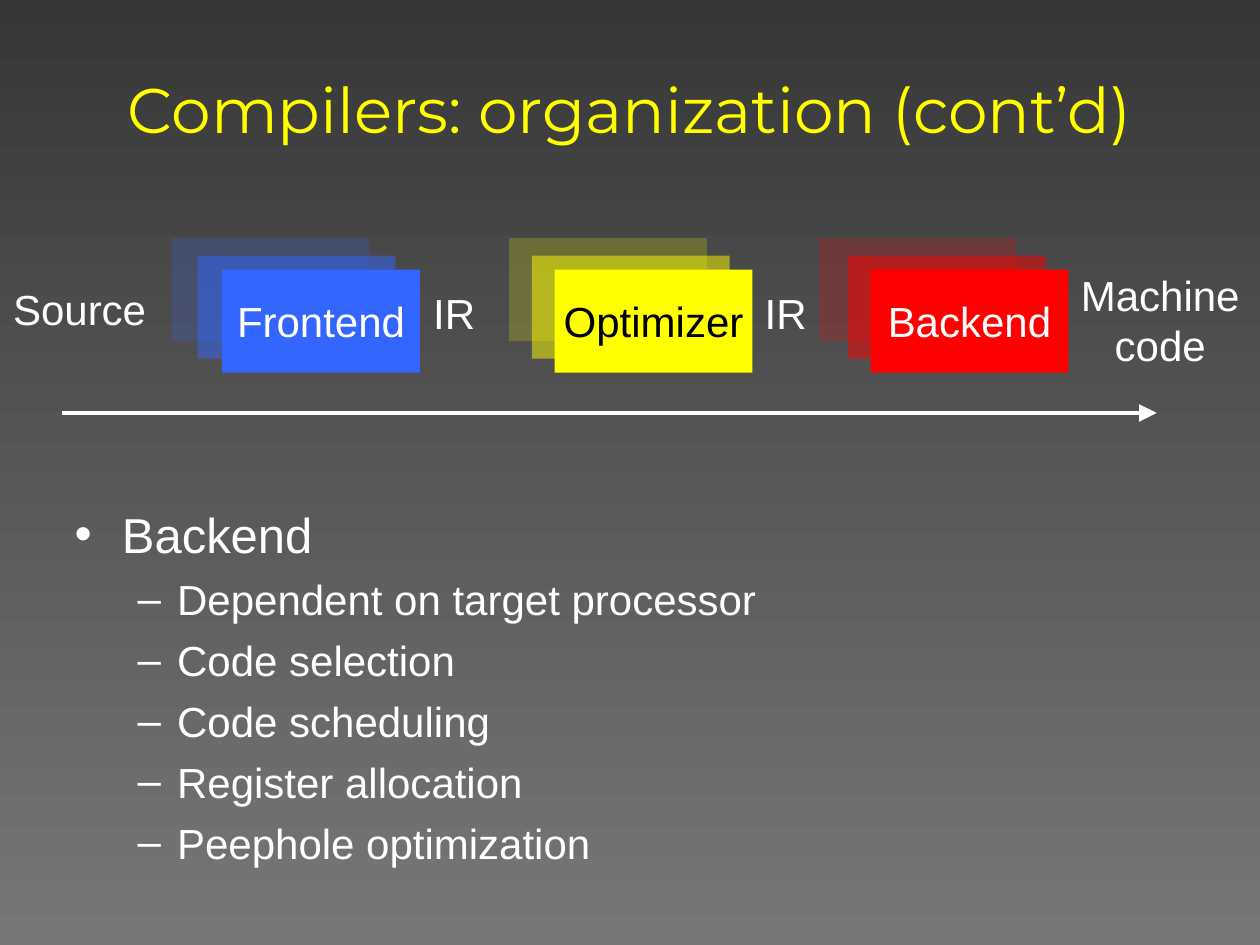
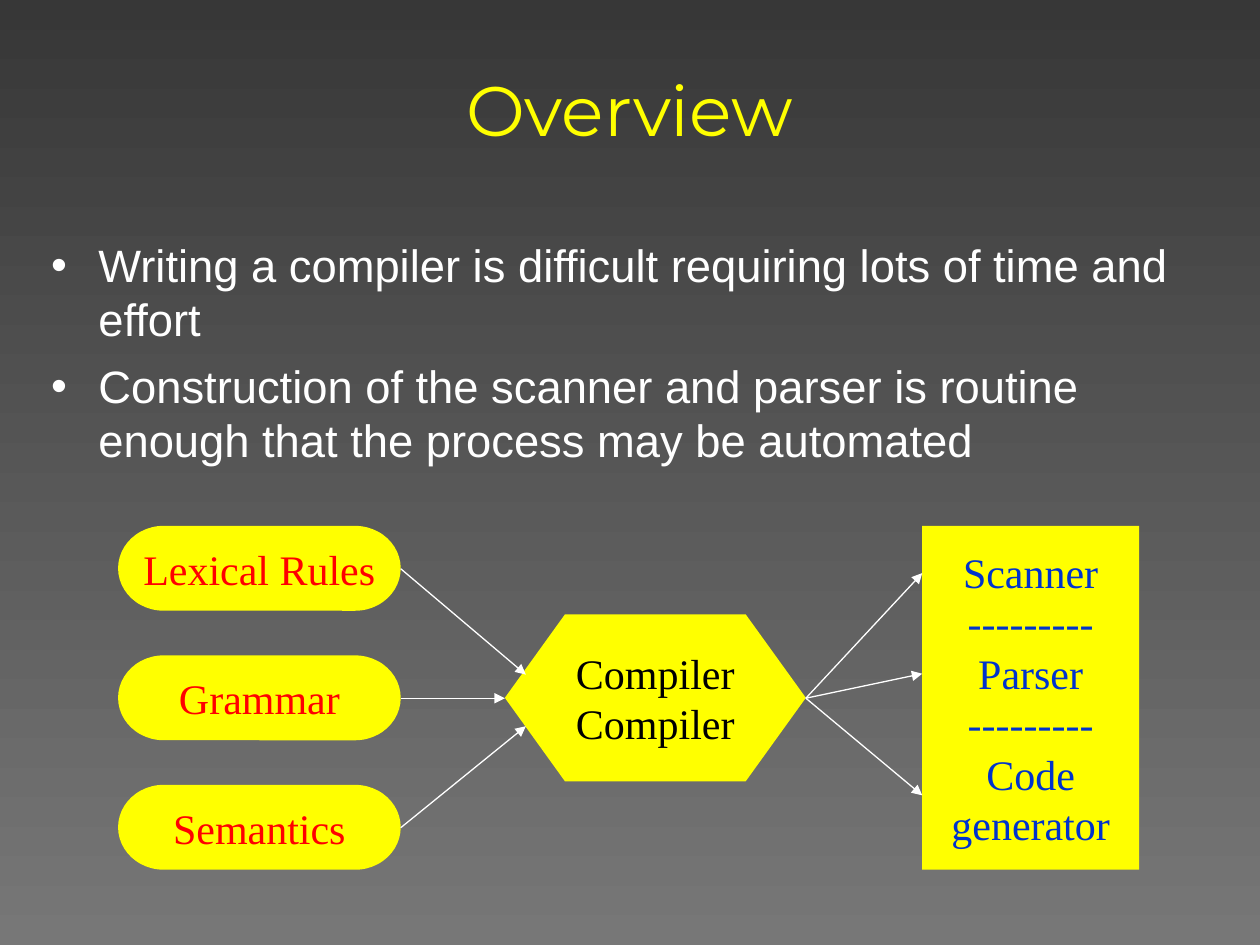
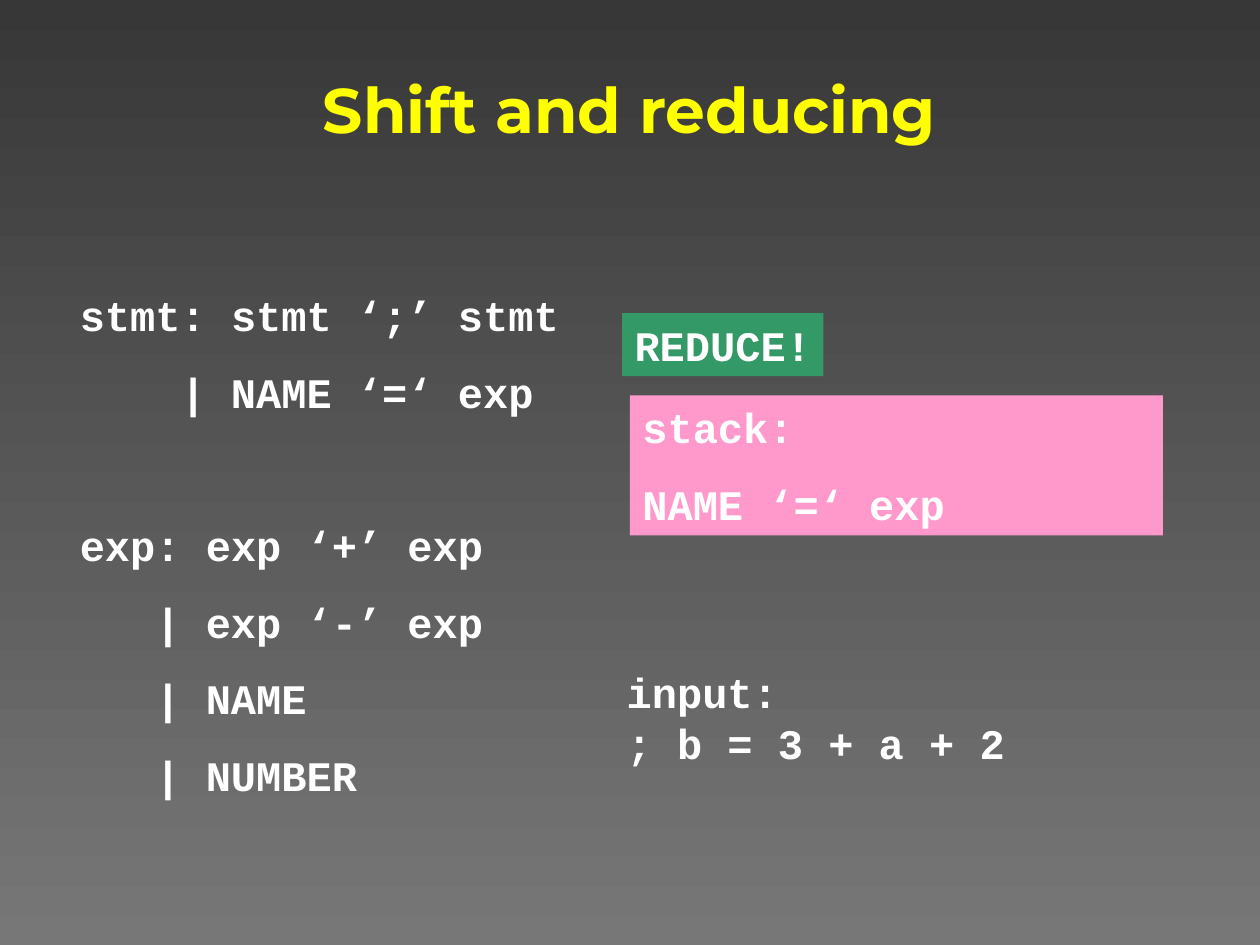
from pptx import Presentation
from pptx.dml.color import RGBColor
from pptx.enum.shapes import MSO_CONNECTOR as Link, MSO_SHAPE as Kind
from pptx.enum.text import MSO_ANCHOR as Anchor, MSO_AUTO_SIZE as Auto, PP_ALIGN as Align
from pptx.oxml.ns import qn
from pptx.oxml.xmlchemy import OxmlElement as Node
from pptx.util import Pt

WHITE, BLACK, YELLOW, RED = "FFFFFF", "000000", "FFFF00", "FF0000"
BLUE, NAVY, PINK, GREEN = "3366FF", "0033CC", "FF99CC", "339966"
SANS, SERIF, MONO, HEAD = "Arial", "Times New Roman", "Courier New", "Montserrat"
LEAD = 1.2  # line height as a share of the text size
CELL = 14.4  # width of one letter of code at 24 pt


def color(code):
    return RGBColor.from_string(code)


def place(shape, box):
    shape.left, shape.top, shape.width, shape.height = map(Pt, box)


def add_run(para, text, size, font, ink, bold=False):
    run = para.add_run()
    run.text = text
    run.font.size = Pt(size)
    run.font.name = font
    run.font.bold = bold
    run.font.color.rgb = color(ink)


def new_para(frame, index):
    return frame.add_paragraph() if index else frame.paragraphs[0]


def indent(para, left, first=0):
    props = para._p.get_or_add_pPr()
    props.set("marL", str(Pt(left)))
    props.set("indent", str(Pt(first)))


# Shared look: gradient behind every slide
def set_back(prs):
    fill = prs.slide_master.background.fill
    fill.gradient()
    fill.gradient_angle = 270
    for stop, code in zip(fill.gradient_stops, ("373737", "777777")):
        stop.color.rgb = color(code)


def add_slide(prs, layout, title, size=36, bold=False):
    slide = prs.slides.add_slide(prs.slide_layouts[layout])
    head = slide.shapes.title
    place(head, (21, 26, 677.5, 72))
    frame = head.text_frame
    frame.auto_size = Auto.NONE
    frame.vertical_anchor = Anchor.MIDDLE
    para = frame.paragraphs[0]
    para.alignment = Align.CENTER
    add_run(para, title, size, HEAD, YELLOW, bold)
    return slide


def add_list(slide, box, items):
    """Fill the body with (level, text, size) items."""
    body = slide.placeholders[1]
    place(body, box)
    frame = body.text_frame
    frame.auto_size = Auto.NONE
    for i, (level, text, size) in enumerate(items):
        para = new_para(frame, i)
        para.level = level
        para.space_before = Pt(6 if level else 7)
        para.line_spacing = Pt(size * LEAD)
        if level:
            indent(para, 58.5, -22.5)
        else:
            indent(para, 27, -27)
        add_run(para, text, size, SANS, WHITE)


def add_box(slide, box, fill, kind=Kind.RECTANGLE, alpha=None):
    shape = slide.shapes.add_shape(kind, *map(Pt, box))
    shape.shadow.inherit = False
    shape.line.fill.background()
    shape.fill.solid()
    shape.fill.fore_color.rgb = color(fill)
    if alpha:
        tint = Node("a:alpha")
        tint.set("val", str(alpha * 1000))
        shape.element.spPr.find(qn("a:solidFill"))[0].append(tint)
    return shape


def add_label(slide, box):
    label = slide.shapes.add_textbox(*map(Pt, box))
    label.text_frame.auto_size = Auto.SHAPE_TO_FIT_TEXT
    return label


def write(shape, lines, font, ink, anchor=Anchor.MIDDLE):
    """Set centred lines that never wrap."""
    frame = shape.text_frame
    frame.word_wrap = False
    frame.vertical_anchor = anchor
    for i, text in enumerate(lines):
        para = new_para(frame, i)
        para.alignment = Align.CENTER
        para.line_spacing = Pt(24 * LEAD)
        add_run(para, text, 24, font, ink)


def write_code(shape, lines, wrap=False):
    """Set code as (text, letters of indent, space before) lines."""
    frame = shape.text_frame
    frame.word_wrap = wrap
    frame.vertical_anchor = Anchor.TOP
    for i, (text, cells, gap) in enumerate(lines):
        para = new_para(frame, i)
        para.alignment = Align.LEFT
        para.space_before = Pt(gap)
        para.line_spacing = Pt(24 * LEAD)
        indent(para, cells * CELL)
        add_run(para, text, 24, MONO, WHITE, True)


def add_arrow(slide, start, end, width=0.75, tip_size="med"):
    arrow = slide.shapes.add_connector(Link.STRAIGHT, *map(Pt, start + end))
    arrow.line.width = Pt(width)
    arrow.line.color.rgb = color(WHITE)
    tip = Node("a:tailEnd")
    for name, value in (("type", "triangle"), ("w", tip_size), ("len", tip_size)):
        tip.set(name, value)
    props = arrow.element.spPr
    props.find(qn("a:ln")).append(tip)
    props.append(Node("a:effectLst"))


def add_stack(slide, lefts, name, fill, ink):
    """Draw three overlapping cards, the front one named."""
    for left, top, alpha in zip(lefts, (136, 146, 154), (20, 50, None)):
        card = add_box(slide, (left, top, 113, 59), fill, alpha=alpha)
    write(card, [name], SANS, ink)


def stages(prs):
    slide = add_slide(prs, 1, "Compilers: organization (cont’d)")
    parts = ("Dependent on target processor", "Code selection", "Code scheduling",
             "Register allocation", "Peephole optimization")
    add_list(slide, (35.5, 284.5, 649.5, 231),
             [(0, "Backend", 28)] + [(1, part, 24) for part in parts])

    # Compiler stages
    add_stack(slide, (468, 484.5, 497.5), "Backend", RED, WHITE)
    add_stack(slide, (291, 304, 317), "Optimizer", YELLOW, BLACK)
    add_stack(slide, (98, 113, 127), "Frontend", BLUE, WHITE)

    # What passes between them
    for box, lines in (((0, 158.5, 91, 36), ["Source"]),
                       ((610.5, 150.5, 105, 65), ["Machine", "code"]),
                       ((239.5, 161, 40, 36), ["IR"]),
                       ((429, 161, 40, 36), ["IR"])):
        write(add_label(slide, box), lines, SANS, WHITE, Anchor.TOP)
    add_arrow(slide, (35.5, 236), (661, 236), 2, "lg")


def overview(prs):
    slide = add_slide(prs, 1, "Overview", 40)
    add_list(slide, (22, 132, 677.5, 141), [
        (0, "Writing a compiler is difficult requiring lots of time and effort", 25.9),
        (0, "Construction of the scanner and parser is routine enough that "
            "the process may be automated", 25.9)])

    # Inputs, tool and outputs
    tops = [300.5 + 74 * i for i in range(3)]
    for top, name in zip(tops, ("Lexical Rules", "Grammar", "Semantics")):
        pill = add_box(slide, (67.5, top, 161.5, 48.5), YELLOW, Kind.FLOWCHART_TERMINATOR)
        write(pill, [name], SERIF, RED)
    tool = add_box(slide, (288.5, 351, 172, 95.5), YELLOW, Kind.FLOWCHART_PREPARATION)
    write(tool, ["Compiler"] * 2, SERIF, BLACK)
    rule = "-" * 9
    parts = add_box(slide, (527, 300.5, 124, 196.5), YELLOW)
    write(parts, ["Scanner", rule, "Parser", rule, "Code", "generator"], SERIF, NAVY)

    # Flow
    for top, end in zip(tops, ((300.5, 385.5), (288.5, 399), (300.5, 415))):
        add_arrow(slide, (229, top + 24.5), end)
    for y in (327.5, 385, 454.5):
        add_arrow(slide, (460.5, 399), (527, y))


def shifting(prs):
    slide = add_slide(prs, 5, "Shift and reducing", bold=True)

    # Grammar
    write_code(add_label(slide, (38.5, 162, 289.5, 299)), [
        ("stmt: stmt ‘;’ stmt", 0, 15),
        ("| NAME ‘=‘ exp", 4, 15),
        ("exp: exp ‘+’ exp", 0, 58.8),
        ("| exp ‘-’ exp", 3, 15),
        ("| NAME", 3, 15),
        ("| NUMBER", 3, 15)], wrap=True)

    # Parser state
    write_code(add_label(slide, (351, 377.5, 230.5, 65)),
               [("input:", 0, 0), ("; b = 3 + a + 2", 0, 0)])
    write_code(add_box(slide, (360, 226, 304.5, 80), PINK),
               [("stack:", 0, 15), ("NAME ‘=‘ exp", 0, 15)], wrap=True)
    write_code(add_box(slide, (355.5, 179, 115, 36), GREEN), [("REDUCE!", 0, 0)])


def main():
    prs = Presentation()
    prs.slide_width, prs.slide_height = Pt(720), Pt(540)
    set_back(prs)
    stages(prs)
    overview(prs)
    shifting(prs)
    prs.save("out.pptx")


if __name__ == "__main__":
    main()
